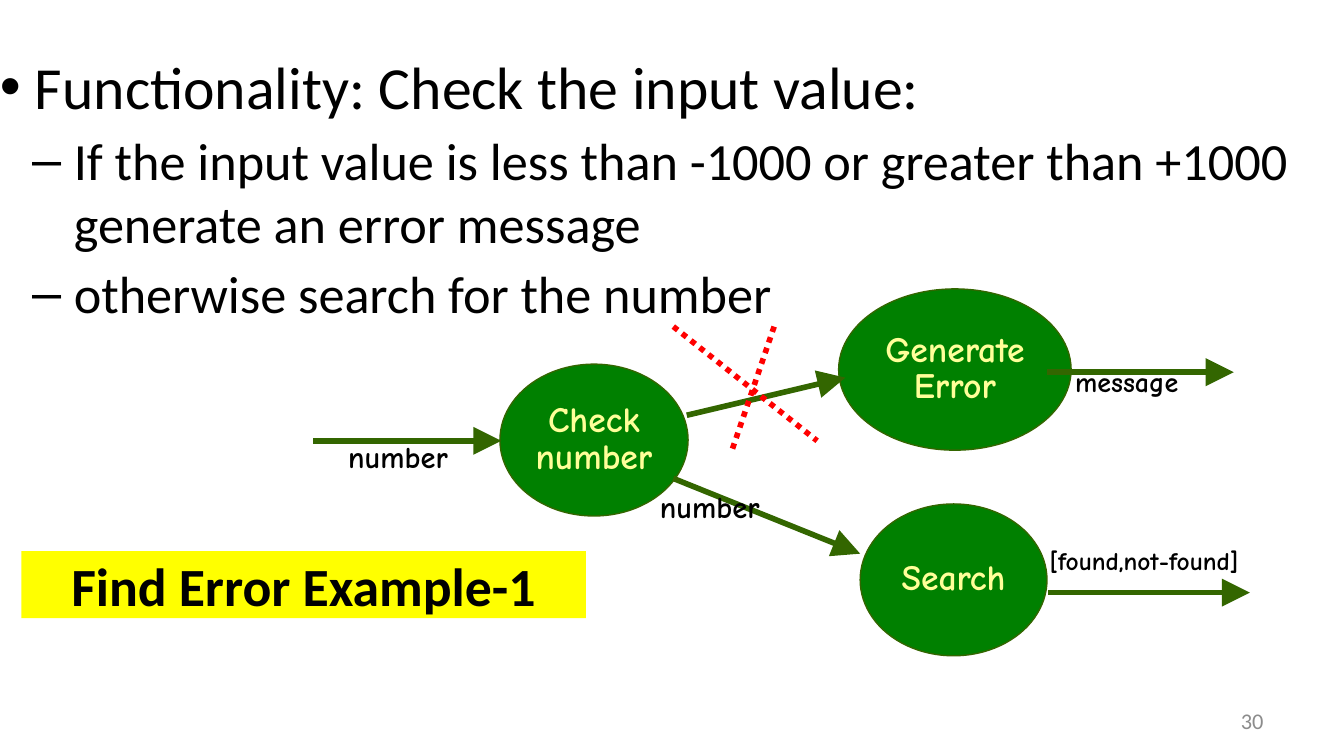
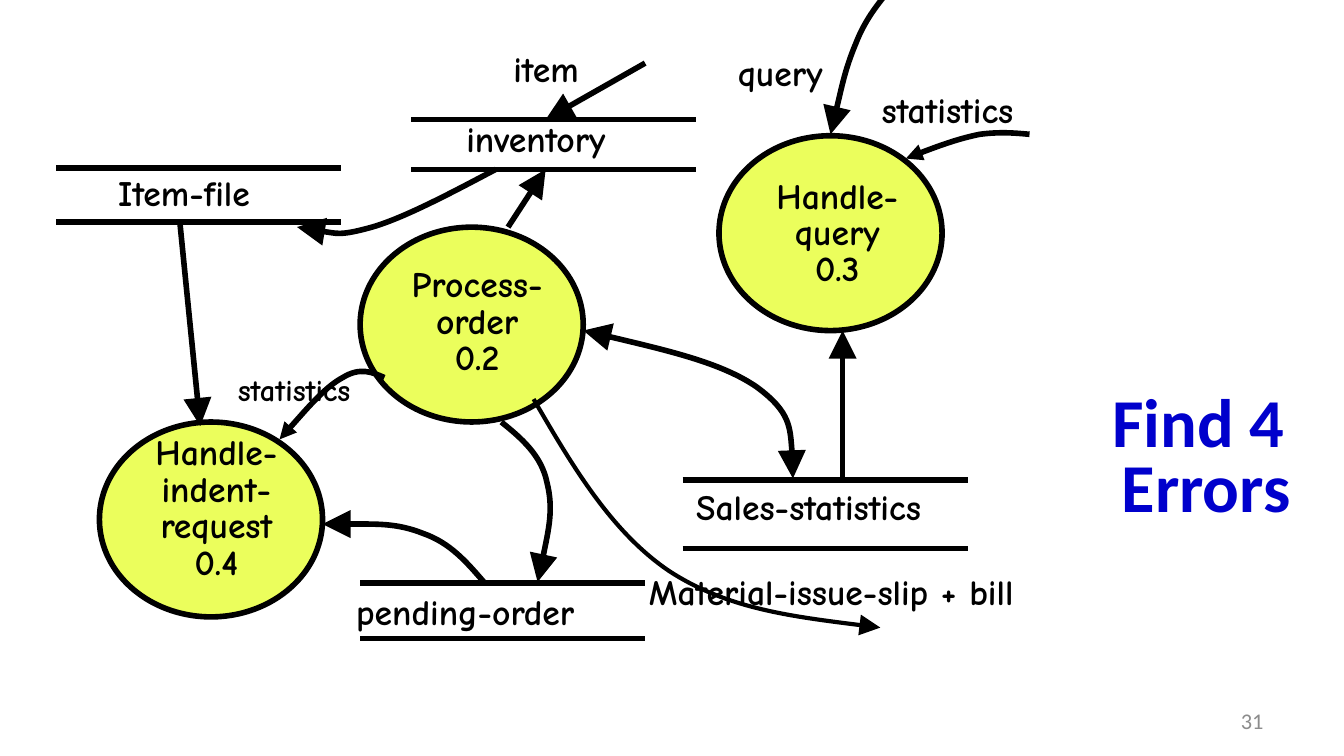
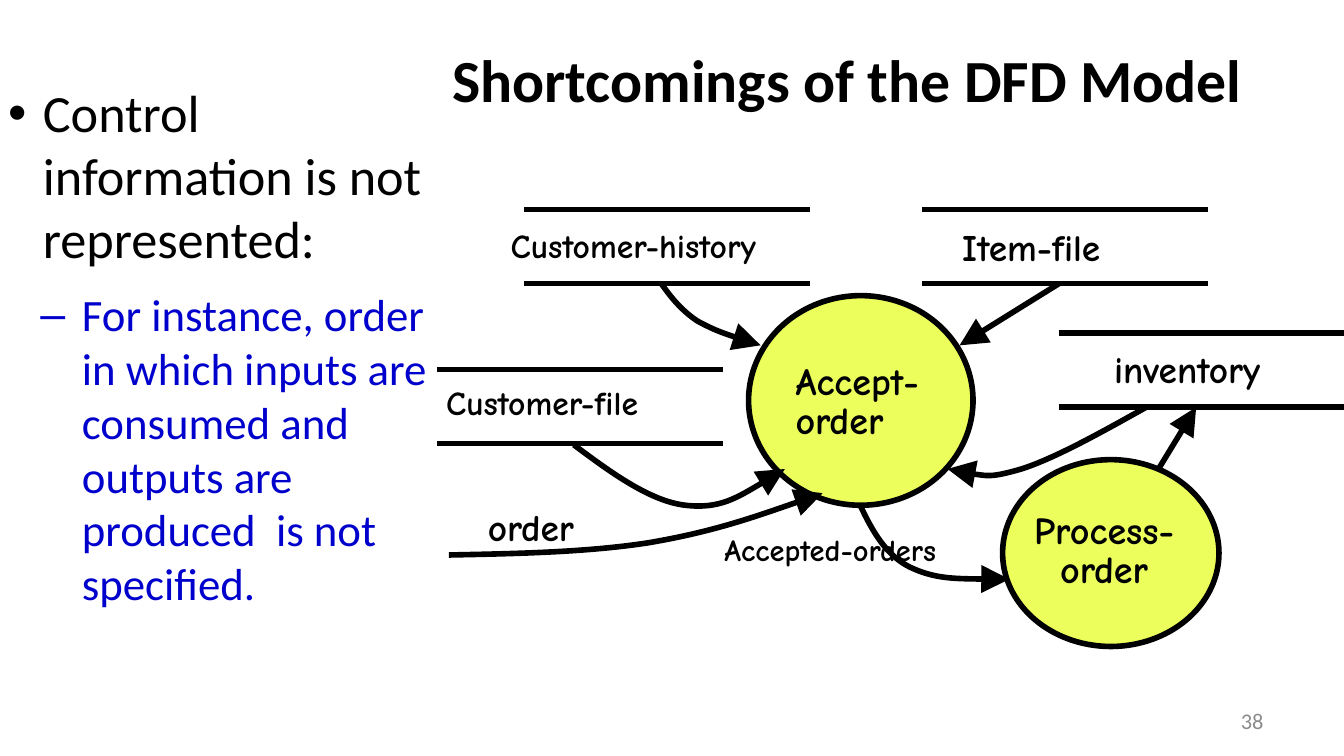
from dataclasses import dataclass
from typing import Optional

import pptx
import pptx.dml.color
import pptx.enum.dml
import pptx.enum.shapes
import pptx.enum.text
import pptx.oxml.ns
import pptx.util
from lxml import etree
from pptx.util import Inches

qn = pptx.oxml.ns.qn
ALIGN = pptx.enum.text.PP_ALIGN
ANCHOR = pptx.enum.text.MSO_ANCHOR

COLORS = {
    "black": "000000", "blue": "0000CC", "yellow": "FFFF00", "green": "008000",
    "dark_green": "336600", "cream": "FFFF99", "lime": "EBFE5C",
    "red": "FF0000", "grey": "8C8C8C",
}
BODY_FONT = "Calibri"
DIAGRAM_FONT = "Comic Neue"
BULLET_FONT = "Arial"
TIGHT = (0.01, 0.04)
ROOMY = (0.1, 0.05)


@dataclass
class Bubble:
    """A process, with its text inside if it has any."""
    left: float
    top: float
    width: float
    height: float
    text: str = ""
    fill: str = "lime"
    line: str = "black"
    weight: float = 3
    before: float = 3.5


@dataclass
class Label:
    text: str
    left: float
    top: float
    width: float
    height: float
    size: float = 19.1
    before: float = 7.7
    align: Optional[ALIGN] = None


@dataclass
class Store:
    """A data store: two parallel rules."""
    left: float
    top: float
    bottom: float
    width: float = 2.12


@dataclass
class Flow:
    """Two points make a straight line, more make a chain of Bezier curves."""
    points: list[tuple[float, float]]
    ends: str = "tail"
    color: str = "black"
    weight: float = 3
    dotted: bool = False
    arrow_size: str = "lg"


@dataclass
class Bullet:
    text: str
    size: float
    level: int = 0
    color: str = "black"


# Text
def rgb(name: str) -> pptx.dml.color.RGBColor:
    return pptx.dml.color.RGBColor.from_string(COLORS[name])


def write(para, text: str, *, size: float, color: str = "black", font: str = BODY_FONT,
          bold: bool = False, align=None, spacing: float = 1.0,
          before: float = 0, after: float = 0) -> None:
    para.alignment = align or ALIGN.LEFT
    para.line_spacing = spacing
    para.space_before = pptx.util.Pt(before)
    para.space_after = pptx.util.Pt(after)
    for index, line in enumerate(text.split("\n")):
        if index:
            para.add_line_break()
        span = para.add_run()
        span.text = line
        span.font.name = font
        span.font.size = pptx.util.Pt(size)
        span.font.bold = bold
        span.font.color.rgb = rgb(color)


def prepare_frame(shape, inset: tuple[float, float] = TIGHT, anchor=ANCHOR.TOP):
    frame = shape.text_frame
    frame.word_wrap = True
    frame.auto_size = pptx.enum.text.MSO_AUTO_SIZE.NONE
    frame.vertical_anchor = anchor
    frame.margin_left = frame.margin_right = Inches(inset[0])
    frame.margin_top = frame.margin_bottom = Inches(inset[1])
    return frame


def add_box(page, left: float, top: float, width: float, height: float, **frame_format):
    box = page.shapes.add_textbox(Inches(left), Inches(top), Inches(width), Inches(height))
    return prepare_frame(box, **frame_format)


def add_bullets(page, area: tuple[float, float, float, float], bullets: list[Bullet],
                after: float = 0) -> None:
    frame = add_box(page, *area)
    for index, bullet in enumerate(bullets):
        para = frame.add_paragraph() if index else frame.paragraphs[0]
        para.level = bullet.level
        mark, margin, hang, before = [("•", 0.26, 0.26, 4.3), ("–", 0.55, 0.31, 3.7)][bullet.level]
        write(para, bullet.text, size=bullet.size, color=bullet.color,
              before=before, after=after)
        properties = para._p.get_or_add_pPr()
        properties.set("marL", str(Inches(margin)))
        properties.set("indent", str(-Inches(hang)))
        etree.SubElement(properties, qn("a:buFont")).set("typeface", BULLET_FONT)
        etree.SubElement(properties, qn("a:buChar")).set("char", mark)


# Diagram parts
def draw_bubble(page, bubble: Bubble) -> None:
    shape = page.shapes.add_shape(
        pptx.enum.shapes.MSO_SHAPE.OVAL, Inches(bubble.left), Inches(bubble.top),
        Inches(bubble.width), Inches(bubble.height))
    shape.shadow.inherit = False
    shape.fill.solid()
    shape.fill.fore_color.rgb = rgb(bubble.fill)
    shape.line.color.rgb = rgb(bubble.line)
    shape.line.width = pptx.util.Pt(bubble.weight)
    if bubble.text:
        frame = prepare_frame(shape, anchor=ANCHOR.MIDDLE)
        write(frame.paragraphs[0], bubble.text, size=19.1, color="cream", font=DIAGRAM_FONT,
              bold=True, align=ALIGN.CENTER, spacing=0.85, before=bubble.before)


def draw_label(page, label: Label) -> None:
    frame = add_box(page, label.left, label.top, label.width, label.height)
    write(frame.paragraphs[0], label.text, size=label.size, font=DIAGRAM_FONT, bold=True,
          align=label.align, spacing=0.85, before=label.before)


def add_curve(page, points: list[tuple[float, float]]):
    start, *rest = [(Inches(x), Inches(y)) for x, y in points]
    builder = page.shapes.build_freeform(*start)
    builder.add_line_segments(rest, close=False)
    shape = builder.convert_to_shape()
    shape.fill.background()
    # Turn every three straight segments into one Bezier segment
    outline = shape._element.spPr.find(".//" + qn("a:path"))
    segments = outline.findall(qn("a:lnTo"))
    for index, segment in enumerate(segments):
        if index % 3 == 0:
            curve = etree.SubElement(outline, qn("a:cubicBezTo"))
        curve.append(segment[0])
        outline.remove(segment)
    return shape


def draw_flow(page, flow: Flow) -> None:
    if len(flow.points) == 2:
        (x1, y1), (x2, y2) = flow.points
        shape = page.shapes.add_connector(
            pptx.enum.shapes.MSO_CONNECTOR.STRAIGHT,
            Inches(x1), Inches(y1), Inches(x2), Inches(y2))
    else:
        shape = add_curve(page, flow.points)
    shape.line.color.rgb = rgb(flow.color)
    shape.line.width = pptx.util.Pt(flow.weight)
    if flow.dotted:
        shape.line.dash_style = pptx.enum.dml.MSO_LINE.ROUND_DOT
    properties = shape._element.spPr
    for end in ("head", "tail"):
        if end in flow.ends:
            arrow = etree.SubElement(properties.find(qn("a:ln")), qn(f"a:{end}End"))
            arrow.set("type", "triangle")
            arrow.set("w", flow.arrow_size)
            arrow.set("len", flow.arrow_size)
    etree.SubElement(properties, qn("a:effectLst"))


def draw_store(page, store: Store) -> None:
    for y in (store.top, store.bottom):
        draw_flow(page, Flow([(store.left, y), (store.left + store.width, y)], ends=""))


def draw_diagram(page, bubbles: list[Bubble], stores: list[Store],
                 flows: list[Flow], labels: list[Label]) -> None:
    for draw, parts in ((draw_bubble, bubbles), (draw_store, stores),
                        (draw_flow, flows), (draw_label, labels)):
        for part in parts:
            draw(page, part)


# Pages
def add_page(deck, number: int, title: str, area: tuple[float, float, float, float], *,
             inset: tuple[float, float] = TIGHT, fill: Optional[str] = None, **text_format):
    page = deck.slides.add_slide(deck.slide_layouts[5])
    heading = page.shapes.title
    heading.left, heading.top, heading.width, heading.height = map(Inches, area)
    if fill:
        heading.fill.solid()
        heading.fill.fore_color.rgb = rgb(fill)
    frame = prepare_frame(heading, inset, ANCHOR.MIDDLE)
    write(frame.paragraphs[0], title, bold=True, align=ALIGN.CENTER, **text_format)
    footer = add_box(page, 7.17, 5.21, 2.33, 0.3, inset=ROOMY, anchor=ANCHOR.MIDDLE)
    write(footer.paragraphs[0], str(number), size=12, color="grey", align=ALIGN.RIGHT)
    return page


def build_check_number(deck) -> None:
    page = add_page(deck, 30, "Find Error Example-1", (0.16, 4.1, 4.2, 0.5),
                    fill="yellow", size=28.8, before=8.4)
    add_bullets(page, (-0.01, 0.33, 9.83, 3.73), [
        Bullet("Functionality: Check the input value:", 32),
        Bullet("If the input value is less than -1000 or greater than +1000 "
               "generate an error message", 28, 1),
        Bullet("otherwise search for the number", 28, 1),
    ])
    green = {"fill": "green", "line": "dark_green", "weight": 0.75}
    bubbles = [
        Bubble(3.72, 2.71, 1.4, 1.13, "Check\nnumber", **green),
        Bubble(6.24, 2.15, 1.73, 1.2, "Generate\nError", before=3.1, **green),
        Bubble(6.4, 3.75, 1.39, 1.13, "Search", **green),
    ]
    arrows = [
        [(2.33, 3.28), (3.73, 3.28)],
        [(5.11, 3.09), (6.29, 2.81)],
        [(5.01, 3.56), (6.4, 4.12)],
        [(7.79, 2.77), (9.18, 2.77)],
        [(7.8, 4.41), (9.3, 4.41)],
    ]
    cross = [[(5.01, 2.43), (6.08, 3.28)], [(5.76, 2.43), (5.44, 3.37)]]
    flows = [Flow(points, color="dark_green") for points in arrows]
    flows += [Flow(points, ends="", color="red", dotted=True) for points in cross]
    draw_diagram(page, bubbles, [], flows, [
        Label("number", 2.58, 3.26, 1.61, 0.49, 16.3, 8.6),
        Label("message", 7.99, 2.71, 1.61, 0.52, 15, 8.6),
        Label("number", 4.9, 3.63, 1.61, 0.49, 16.3, 8.6),
        Label("[found,not-found]", 7.8, 4.05, 3.65, 0.45, 13.6),
    ])


def build_find_errors(deck) -> None:
    page = add_page(deck, 31, "Find 4  Errors", (7.51, 3.13, 2.93, 0.59),
                    inset=ROOMY, size=36.7, color="blue", spacing=0.8)
    bubbles = [Bubble(left, top, 1.66, 1.45)
               for left, top in ((0.74, 3.14), (2.68, 1.69), (5.35, 1.01))]
    stores = [
        Store(2.68, 4.34, 4.75),
        Store(5.08, 3.57, 4.08),
        Store(3.06, 0.89, 1.26),
        Store(0.42, 1.25, 1.65),
    ]
    flows = [
        Flow([(3.6, 4.33), (3.47, 4.18), (3.35, 4.04), (3.15, 3.97),
              (2.95, 3.89), (2.67, 3.9), (2.4, 3.9)]),
        Flow([(3.73, 3.14), (3.88, 3.26), (4.03, 3.39), (4.07, 3.59),
              (4.12, 3.79), (4.06, 4.06), (4, 4.33)]),
        Flow([(4.34, 2.46), (4.85, 2.58), (5.37, 2.7), (5.63, 2.88),
              (5.89, 3.07), (5.9, 3.31), (5.9, 3.56)], ends="head tail"),
        Flow([(3.78, 1.69), (4.06, 1.26)]),
        Flow([(1.34, 1.67), (1.49, 3.17)]),
        Flow([(6.27, 3.57), (6.27, 2.46)]),
        Flow([(4.8, 0.47), (4.06, 0.89)]),
        Flow([(6.64, -0.1), (6.54, 0.02), (6.44, 0.14), (6.37, 0.32),
              (6.29, 0.51), (6.24, 0.75), (6.18, 1)]),
        Flow([(3.69, 1.26), (3.35, 1.44), (3.01, 1.62), (2.77, 1.69),
              (2.52, 1.76), (2.37, 1.72), (2.21, 1.69)]),
        Flow([(6.74, 1.18), (6.94, 1.1), (7.14, 1.03), (7.29, 1),
              (7.44, 0.98), (7.55, 0.99), (7.66, 1)], ends="head", arrow_size="med"),
        Flow([(3.97, 2.97), (4.26, 3.47), (4.55, 3.96), (4.98, 4.25),
              (5.41, 4.53), (5.98, 4.6), (6.55, 4.67)], weight=2.25),
        Flow([(2.08, 3.27), (2.25, 3.08), (2.42, 2.88), (2.55, 2.81),
              (2.68, 2.73), (2.77, 2.77), (2.86, 2.81)], ends="head", arrow_size="med"),
    ]
    process = {"before": 8.6, "align": ALIGN.CENTER}
    draw_diagram(page, bubbles, stores, flows, [
        Label("Process-order\n0.2", 2.86, 1.96, 1.38, 1.13, **process),
        Label("Handle-query\n0.3", 5.54, 1.3, 1.38, 1.13, **process),
        Label("Handle-indent-request\n0.4", 0.92, 3.21, 1.38, 1.47, **process),
        Label("pending-order", 2.64, 4.4, 2.45, 0.7),
        Label("Sales-statistics", 5.17, 3.62, 2.4, 0.7),
        Label("inventory", 3.46, 0.88, 1.94, 0.41),
        Label("Item-file", 0.87, 1.28, 1.94, 0.41),
        Label("query", 5.48, 0.39, 2.21, 0.41),
        Label("statistics", 6.55, 0.66, 2.21, 0.41),
        Label("Material-issue-slip + bill", 4.8, 4.25, 2.77, 0.72, align=ALIGN.CENTER),
        Label("item", 3.81, 0.36, 2.21, 0.41),
        Label("statistics", 1.76, 2.76, 2.34, 0.8, 16.3),
    ])


def build_shortcomings(deck) -> None:
    page = add_page(deck, 38, "Shortcomings of the DFD Model", (2.64, 0.05, 7.33, 1.07),
                    size=32, before=6.8)
    add_bullets(page, (0.05, 0.56, 3.18, 4.28), [
        Bullet("Control  information is not represented:", 28),
        Bullet("For instance, order in which inputs are consumed and outputs are "
               "produced  is not specified.", 24, 1, "blue"),
    ], after=6)
    bubbles = [Bubble(7.46, 3.42, 1.61, 1.39), Bubble(5.57, 2.2, 1.67, 1.56)]
    stores = [Store(left, top, top + 0.55, 2.13)
              for left, top in ((3.25, 2.75), (6.86, 1.56), (3.9, 1.56), (7.88, 2.48))]
    flows = [
        Flow([(6.4, 3.76), (6.49, 3.95), (6.59, 4.13), (6.77, 4.22),
              (6.96, 4.31), (7.23, 4.31), (7.51, 4.31)]),
        Flow([(4.27, 3.31), (4.55, 3.52), (4.84, 3.73), (5.1, 3.76),
              (5.36, 3.79), (5.6, 3.64), (5.84, 3.49)]),
        Flow([(4.92, 2.11), (4.99, 2.21), (5.07, 2.31), (5.19, 2.39),
              (5.32, 2.46), (5.49, 2.52), (5.66, 2.57)]),
        Flow([(7.88, 2.11), (7.14, 2.57)]),
        Flow([(8.53, 3.03), (8.19, 3.22), (7.85, 3.41), (7.6, 3.49),
              (7.36, 3.56), (7.2, 3.53), (7.05, 3.49)]),
        Flow([(3.34, 4.13), (3.85, 4.12), (4.36, 4.11), (4.82, 4.04),
              (5.29, 3.96), (5.7, 3.82), (6.12, 3.67)]),
        Flow([(8.62, 3.49), (8.9, 3.03)]),
    ]
    draw_diagram(page, bubbles, stores, flows, [
        Label("Accept-order", 5.91, 2.67, 1.36, 0.84, 20.4, 8.6),
        Label("Process-order", 7.52, 3.78, 1.39, 0.84, 20.4, 8.6, ALIGN.CENTER),
        Label("Customer-file", 3.31, 2.85, 1.94, 0.44, 18),
        Label("Item-file", 7.15, 1.68, 1.94, 0.44, 20),
        Label("Customer-history", 3.79, 1.68, 2.5, 0.44, 18),
        Label("Accepted-orders", 5.38, 3.95, 2.22, 0.75, 16.3),
        Label("order", 3.62, 3.76, 2.22, 0.44, 20),
        Label("inventory", 8.28, 2.59, 1.94, 0.44, 20),
    ])


def main() -> None:
    deck = pptx.Presentation()
    # Widescreen, 16 to 9
    deck.slide_width = Inches(10)
    deck.slide_height = Inches(10 * 9 / 16)
    build_check_number(deck)
    build_find_errors(deck)
    build_shortcomings(deck)
    deck.save("out.pptx")


if __name__ == "__main__":
    main()
